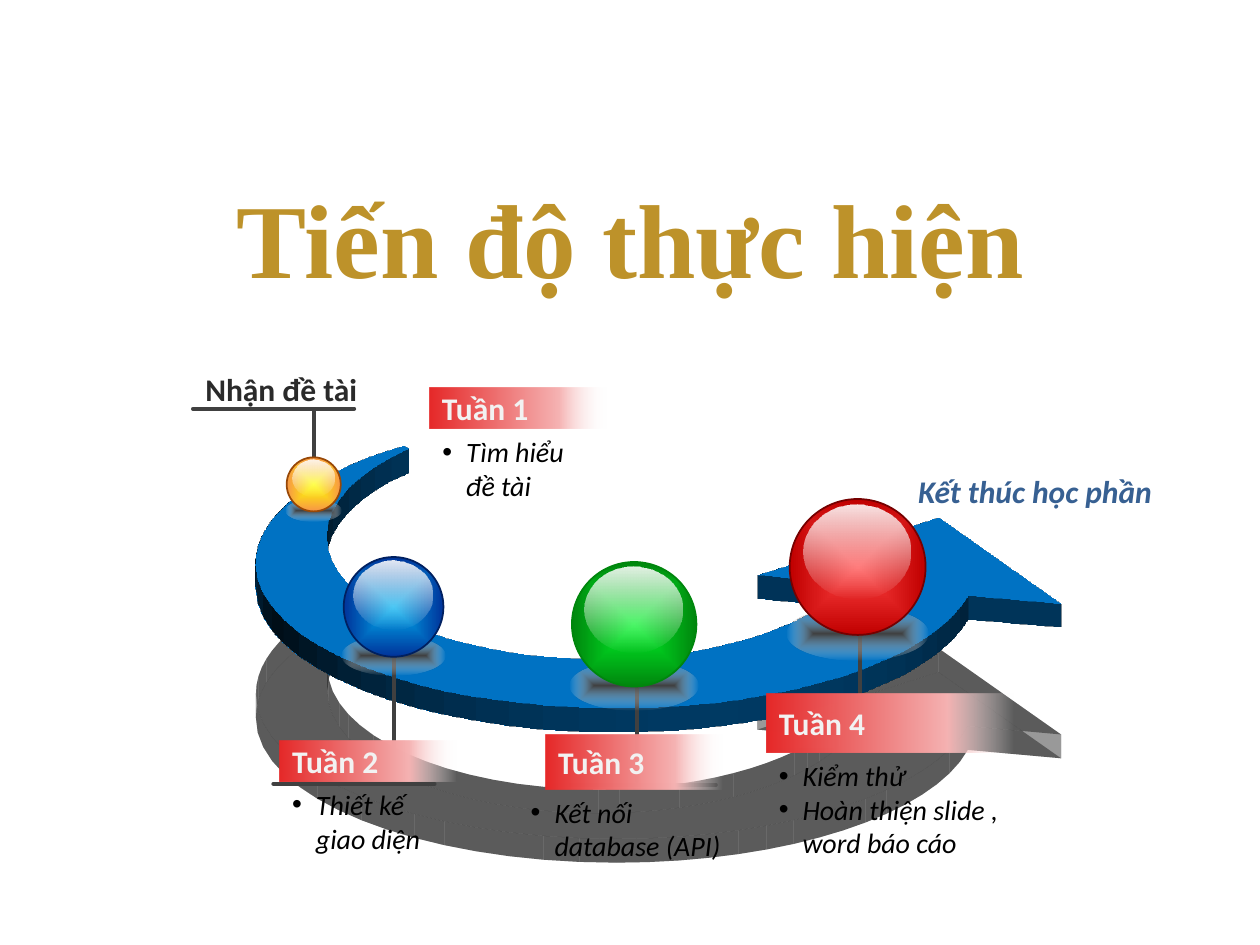
from lxml import etree
from pptx import Presentation
from pptx.dml import color
from pptx.enum import shapes, text
from pptx.oxml import ns
from pptx.util import Cm, Pt

TITLE = "Tiến độ thực hiện"
CAPTIONS = [
    ("Kết thúc học phần", 18.26, 9.39, 5.31, "376092", True),
    ("Nhận đề tài", 3.89, 7.34, 3.61, "2A2A2A", False),
]
STEPS = [
    {"label": "Tuần 3", "at": (11, 14.82, 3.56, 1.09), "notes": ["Kết nối database (API)"],
     "notes_at": (10.45, 15.91, 4.6, 2.29)},
    {"label": "Tuần 2", "at": (5.64, 14.94, 3.56, 0.81), "notes": ["Thiết kế giao diện"],
     "notes_at": (5.64, 15.75, 3.56, 1.7)},
    {"label": "Tuần 1", "at": (8.66, 7.82, 3.56, 0.81), "notes": ["Tìm hiểu đề tài"],
     "notes_at": (8.67, 8.64, 3.56, 1.7)},
    {"label": "Tuần 4", "at": (15.45, 13.98, 4.98, 1.19),
     "notes": ["Kiểm thử", "Hoàn thiện slide , word báo cáo"],
     "notes_at": (15.45, 15.17, 4.98, 2.46)},
]
BALLS = [
    {"at": (5.78, 9.22), "size": 1.09, "colors": ("FFFF00", "F79646"), "edge": "984807",
     "stem": (6.33, 9.55, 8.25), "bar": (3.89, 7.14, 8.24)},
    {"at": (6.93, 11.23), "size": 2.01, "colors": ("00B0F0", "00339A"), "edge": "002060",
     "stem": (7.95, 12.37, 15.75), "bar": (5.51, 8.76, 15.8)},
    {"at": (11.53, 11.33), "size": 2.51, "colors": ("00F228", "00860D"), "edge": "00860D",
     "stem": (12.84, 12.45, 15.75), "bar": (11.18, 14.43, 15.82)},
    {"at": (15.92, 10.06), "size": 2.74, "colors": ("FF4242", "C00000"), "edge": "760000",
     "stem": (17.33, 11.4, 15.09), "bar": (15.7, 18.92, 15.11)},
]
ARROW_START = (8.15, 5.36)
ARROW_SEGMENTS = [
    [(8.26, 5.51)],
    [(7.24, 6.58), (6.6, 8.05), (6.6, 9.68)],
    [(6.6, 12.9), (9.04, 15.52), (12.07, 15.52)],
    [(14.33, 15.52), (16.28, 14.05), (17.09, 11.94)],
    [(15.27, 11.53)],
    [(18.92, 8.79)],
    [(21.39, 12.9)],
    [(19.51, 12.5)],
    [(18.8, 15.57), (15.88, 17.88), (12.42, 17.88)],
    [(8.41, 17.88), (5.16, 14.78), (5.16, 10.97)],
    [(5.16, 8.66), (6.32, 6.63), ARROW_START],
]
TILT = 295


def rgb(value):
    return color.RGBColor.from_string(value)


def add_node(parent, tag, **attributes):
    values = {name: str(value) for name, value in attributes.items()}
    return etree.SubElement(parent, ns.qn(tag), **values)


def add_tone(parent, value, alpha):
    tone = add_node(parent, "a:srgbClr", val=value)
    if alpha < 100:
        add_node(tone, "a:alpha", val=alpha * 1000)


def gradient(shape, stops, angle=None):
    shape.fill.background()
    grad = etree.Element(ns.qn("a:gradFill"), rotWithShape="1")
    stop_list = add_node(grad, "a:gsLst")
    for position, value, alpha in stops:
        add_tone(add_node(stop_list, "a:gs", pos=position * 1000), value, alpha)
    if angle is None:
        focus = add_node(grad, "a:path", path="shape")
        add_node(focus, "a:fillToRect", l=50000, t=50000, r=50000, b=50000)
    else:
        add_node(grad, "a:lin", ang=angle * 60000, scaled=0)
    props = shape.element.spPr
    props.replace(props.find(ns.qn("a:noFill")), grad)


def add_shape(page, kind, left, top, width, height):
    shape = page.shapes.add_shape(kind, Cm(left), Cm(top), Cm(width), Cm(height))
    shape.shadow.inherit = False
    shape.line.fill.background()
    return shape


def add_line(page, x1, y1, x2, y2):
    line = page.shapes.add_connector(shapes.MSO_CONNECTOR.STRAIGHT, Cm(x1), Cm(y1), Cm(x2), Cm(y2))
    line.line.color.rgb = rgb("404040")
    line.line.width = Pt(2.25)
    props = line.element.spPr
    props.find(ns.qn("a:ln")).set("cap", "rnd")
    add_node(props, "a:effectLst")


def add_arrow(page):
    points = [(Cm(x), Cm(y)) for segment in ARROW_SEGMENTS for x, y in segment]
    builder = page.shapes.build_freeform(Cm(ARROW_START[0]), Cm(ARROW_START[1]))
    builder.add_line_segments(points, close=True)
    arrow = builder.convert_to_shape()
    arrow.fill.solid()
    arrow.fill.fore_color.rgb = rgb("0070C0")
    arrow.line.fill.background()
    arrow.shadow.inherit = False
    props = arrow.element.spPr

    steps = iter(list(props.iter(ns.qn("a:lnTo"))))
    for segment in ARROW_SEGMENTS:
        nodes = [next(steps) for _ in segment]
        if len(nodes) == 3:
            curve = etree.Element(ns.qn("a:cubicBezTo"))
            nodes[0].addprevious(curve)
            for node in nodes:
                curve.append(node[0])
                node.getparent().remove(node)

    shade = add_node(props.find(ns.qn("a:effectLst")), "a:outerShdw", blurRad=Pt(21),
                     dist=Pt(75), dir=90 * 60000, algn="t", rotWithShape=0)
    add_tone(shade, "000000", 40)
    scene = add_node(props, "a:scene3d")
    camera = add_node(scene, "a:camera", prst="orthographicFront")
    add_node(camera, "a:rot", lat=TILT * 60000, lon=0, rev=0)
    add_node(scene, "a:lightRig", rig="threePt", dir="t")
    add_node(props, "a:sp3d", extrusionH=Cm(0.53), prstMaterial="matte")


def add_ball(page, ball):
    x, y, bottom = ball["stem"]
    add_line(page, x, y, x, bottom)
    left, right, level = ball["bar"]
    add_line(page, left, level, right, level)
    (x, y), size = ball["at"], ball["size"]
    oval = shapes.MSO_SHAPE.OVAL
    shade = add_shape(page, oval, x - 0.02 * size, y + 0.79 * size, 1.04 * size, 0.4 * size)
    gradient(shade, [(0, "404040", 100), (100, "FFFFFF", 0)])
    body = add_shape(page, oval, x, y, size, size)
    gradient(body, [(0, ball["colors"][0], 100), (100, ball["colors"][1], 100)])
    body.line.color.rgb = rgb(ball["edge"])
    body.line.width = Pt(1)
    gloss = add_shape(page, oval, x + 0.1 * size, y + 0.04 * size, 0.79 * size, 0.69 * size)
    gradient(gloss, [(0, "FFFFFF", 90), (100, "FFFFFF", 0)], 90)


def add_span(para, words, size, value, bold=False, italic=False, font="Calibri"):
    span = para.add_run()
    span.text = words
    span.font.name = font
    span.font.size = Pt(size)
    span.font.bold = bold
    span.font.italic = italic
    span.font.color.rgb = rgb(value)


def add_box(page, left, top, width, height, wrap=True):
    box = page.shapes.add_textbox(Cm(left), Cm(top), Cm(width), Cm(height))
    box.text_frame.word_wrap = wrap
    return box.text_frame


def add_step(page, step):
    label = add_shape(page, shapes.MSO_SHAPE.RECTANGLE, *step["at"])
    gradient(label, [(0, "E62828", 100), (73, "F6B3B3", 100), (100, "FFFFFF", 0)], 0)
    label.text_frame.vertical_anchor = text.MSO_ANCHOR.MIDDLE
    para = label.text_frame.paragraphs[0]
    para.alignment = text.PP_ALIGN.LEFT
    add_span(para, step["label"], 18, "F2F2F2", bold=True)
    frame = add_box(page, *step["notes_at"])
    for index, note in enumerate(step["notes"]):
        para = frame.add_paragraph() if index else frame.paragraphs[0]
        add_span(para, note, 16, "000000", italic=True)
        props = para._p.get_or_add_pPr()
        props.set("marL", str(Cm(0.48)))
        props.set("indent", str(-Cm(0.48)))
        add_node(props, "a:buFont", typeface="Arial")
        add_node(props, "a:buChar", char="•")


def main():
    deck = Presentation()
    deck.slide_width, deck.slide_height = Cm(25.4), Cm(19.05)
    page = deck.slides.add_slide(deck.slide_layouts[6])
    add_arrow(page)
    for ball in BALLS:
        add_ball(page, ball)
    for words, left, top, width, value, italic in CAPTIONS:
        frame = add_box(page, left, top, width, 1.02, wrap=False)
        add_span(frame.paragraphs[0], words, 18, value, bold=True, italic=italic)
    frame = add_box(page, 1.7, 3.71, 22.02, 2.11)
    frame.vertical_anchor = text.MSO_ANCHOR.MIDDLE
    frame.paragraphs[0].alignment = text.PP_ALIGN.CENTER
    add_span(frame.paragraphs[0], TITLE, 60, "BD922A", bold=True, font="Times New Roman")
    for step in STEPS:
        add_step(page, step)
    deck.save("out.pptx")


if __name__ == "__main__":
    main()
